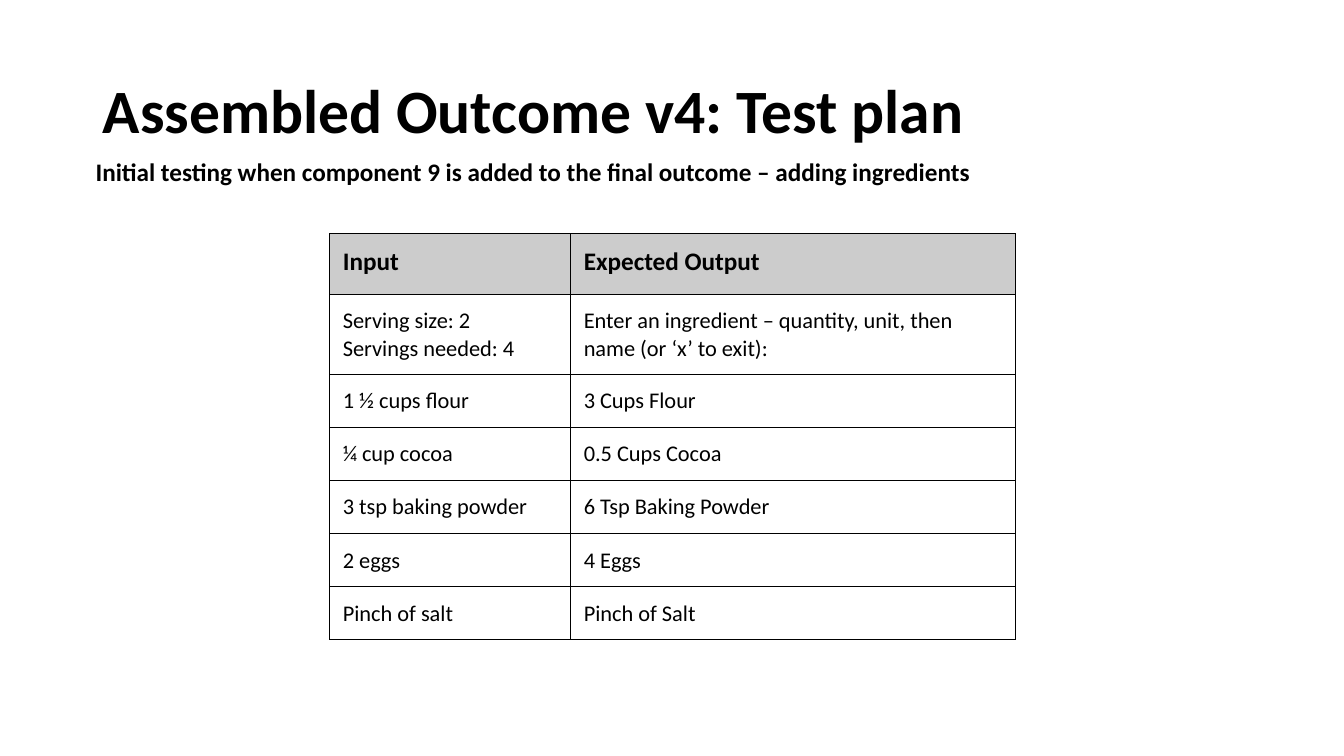
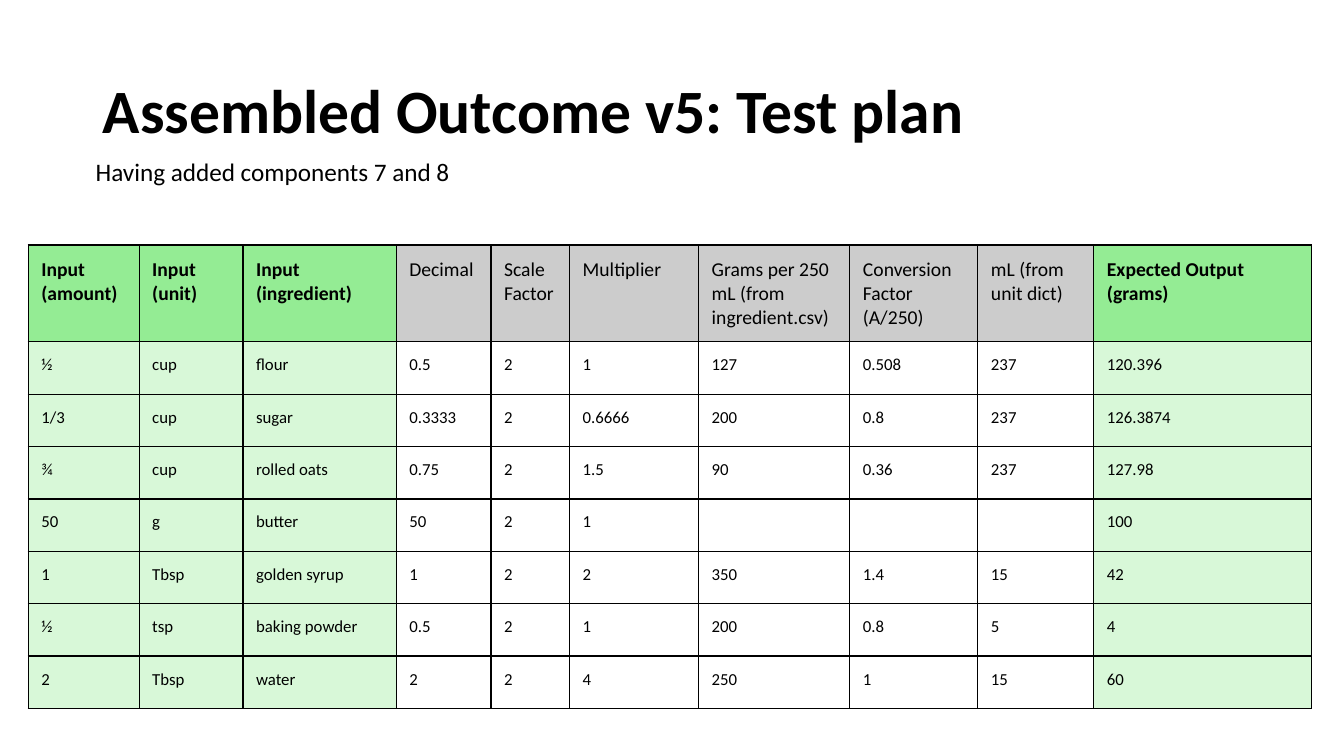
import pptx
import pptx.util
import pptx.dml.color
import pptx.enum.text
import pptx.oxml
import pptx.oxml.ns

Inch = pptx.util.Inches
Pt = pptx.util.Pt
Text = pptx.enum.text

FONT = "Calibri"
HUES = {
    "ink": "000000",
    "paper": "FFFFFF",
    "grey": "CCCCCC",
    "green": "94EC94",
    "pale": "D8F8D8",
}
PAD = 0.13
HEAD, ROW = 0.6, 0.52

PLANS = [
    {
        "title": "Assembled Outcome v4: Test plan",
        "sub": "Initial testing when component 9 is added to the final outcome – adding ingredients",
        "bold": True,
        "at": (3.27, 2.32),
        "cols": [2.39, 4.41],
        "sizes": (18, 16),
        "keys": [],
        "strong": [0, 1],
        "rows": [
            ("Input", "Expected Output"),
            ("Serving size: 2\nServings needed: 4",
             "Enter an ingredient – quantity, unit, then name (or ‘x’ to exit):"),
            ("1 ½ cups flour", "3 Cups Flour"),
            ("¼ cup cocoa", "0.5 Cups Cocoa"),
            ("3 tsp baking powder", "6 Tsp Baking Powder"),
            ("2 eggs", "4 Eggs"),
            ("Pinch of salt", "Pinch of Salt"),
        ],
    },
    {
        "title": "Assembled Outcome v5: Test plan",
        "sub": "Having added components 7 and 8",
        "bold": False,
        "at": (0.28, 2.43),
        "cols": [1.1, 1.03, 1.52, 0.94, 0.78, 1.28, 1.5, 1.27, 1.15, 2.16],
        "sizes": (14, 12),
        "keys": [0, 1, 2, 9],
        "strong": [0, 1, 2, 9],
        "rows": [
            ("Input\n(amount)", "Input\n(unit)", "Input\n(ingredient)", "Decimal",
             "Scale Factor", "Multiplier", "Grams per 250 mL (from ingredient.csv)",
             "Conversion Factor (A/250)", "mL (from unit dict)",
             "Expected Output\n(grams)"),
            ("½", "cup", "flour", "0.5", "2", "1", "127", "0.508", "237", "120.396"),
            ("1/3", "cup", "sugar", "0.3333", "2", "0.6666", "200", "0.8", "237", "126.3874"),
            ("¾", "cup", "rolled oats", "0.75", "2", "1.5", "90", "0.36", "237", "127.98"),
            ("50", "g", "butter", "50", "2", "1", "", "", "", "100"),
            ("1", "Tbsp", "golden syrup", "1", "2", "2", "350", "1.4", "15", "42"),
            ("½", "tsp", "baking powder", "0.5", "2", "1", "200", "0.8", "5", "4"),
            ("2", "Tbsp", "water", "2", "2", "4", "250", "1", "15", "60"),
        ],
    },
]


def hue(name):
    return pptx.dml.color.RGBColor.from_string(HUES[name])


def write(frame, text, size, bold):
    for i, line in enumerate(text.split("\n")):
        para = frame.add_paragraph() if i else frame.paragraphs[0]
        para.alignment = Text.PP_ALIGN.LEFT
        run = para.add_run()
        run.text = line
        run.font.name = FONT
        run.font.size = Pt(size)
        run.font.bold = bold
        run.font.color.rgb = hue("ink")


def edge(cell):
    props = cell._tc.get_or_add_tcPr()
    for side in "LRTB":
        props.append(pptx.oxml.parse_xml(
            f'<a:ln{side} {pptx.oxml.ns.nsdecls("a")} w="{Pt(1)}"><a:solidFill>'
            f'<a:srgbClr val="{HUES["ink"]}"/></a:solidFill></a:ln{side}>'))


def head(slide, plan):
    title = slide.shapes.title
    title.left, title.top = Inch(0.92), Inch(0.4)
    title.width, title.height = Inch(11.5), Inch(1.45)
    frame = title.text_frame
    frame.auto_size = Text.MSO_AUTO_SIZE.NONE
    frame.vertical_anchor = Text.MSO_ANCHOR.MIDDLE
    write(frame, plan["title"], 44, True)
    frame.paragraphs[0].line_spacing = 0.9

    box = slide.shapes.add_textbox(Inch(0.85), Inch(1.5), Inch(11.56), Inch(0.4))
    box.text_frame.word_wrap = True
    write(box.text_frame, plan["sub"], 18, plan["bold"])


def grid(slide, plan):
    rows, cols = plan["rows"], plan["cols"]
    tall = HEAD + ROW * (len(rows) - 1)
    left, top = plan["at"]
    table = slide.shapes.add_table(
        len(rows), len(cols), Inch(left), Inch(top), Inch(sum(cols)), Inch(tall)).table
    table.first_row = table.horz_banding = False
    for col, wide in zip(table.columns, cols):
        col.width = Inch(wide)
    for r, row in enumerate(rows):
        table.rows[r].height = Inch(ROW if r else HEAD)
        for c, text in enumerate(row):
            cell = table.cell(r, c)
            edge(cell)
            key = c in plan["keys"]
            tint = ("pale" if key else "paper") if r else ("green" if key else "grey")
            cell.fill.solid()
            cell.fill.fore_color.rgb = hue(tint)
            if text:
                cell.margin_left = cell.margin_right = Inch(PAD)
                cell.margin_top = cell.margin_bottom = Inch(PAD)
                write(cell.text_frame, text, plan["sizes"][min(r, 1)],
                      r == 0 and c in plan["strong"])


def main():
    deck = pptx.Presentation()
    deck.slide_width, deck.slide_height = Inch(13.33), Inch(7.5)
    for plan in PLANS:
        slide = deck.slides.add_slide(deck.slide_layouts[5])
        head(slide, plan)
        grid(slide, plan)
    deck.save("out.pptx")


if __name__ == "__main__":
    main()
